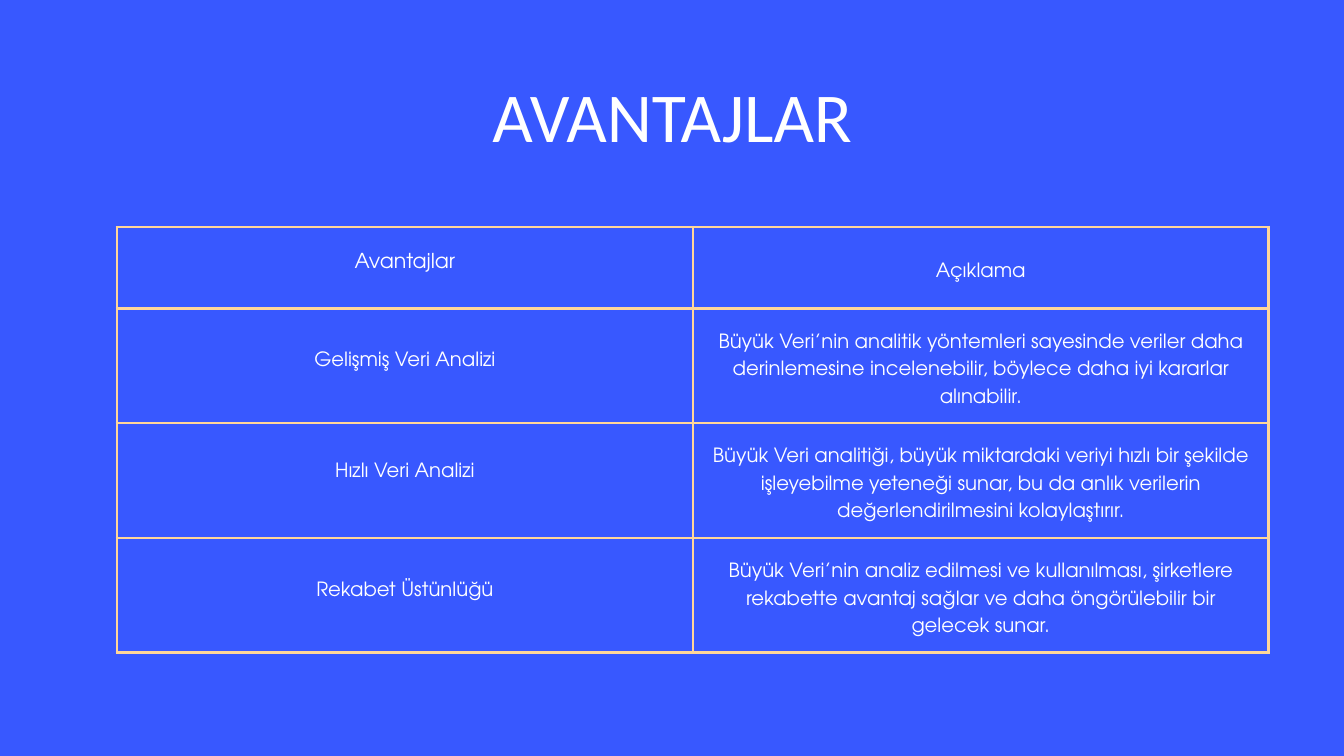
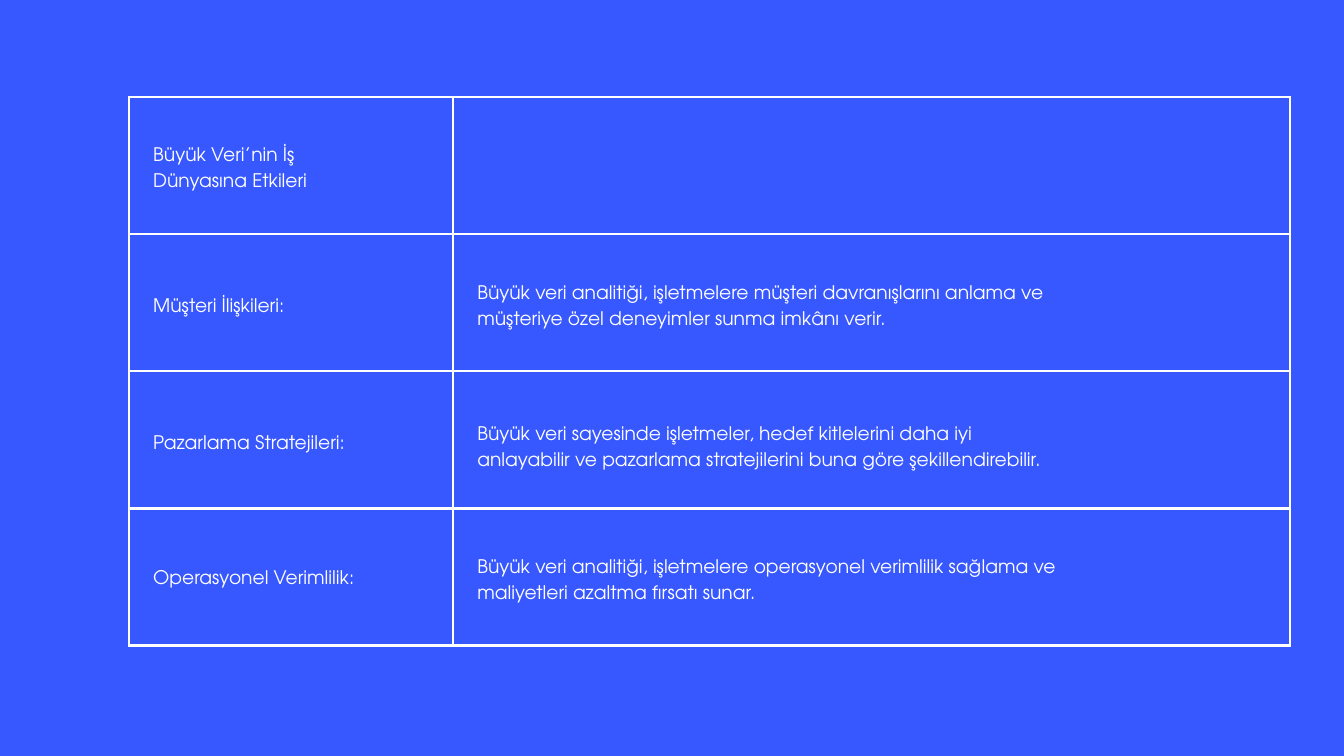
from lxml.etree import SubElement as Sub
from pptx import Presentation
from pptx.dml.color import RGBColor
from pptx.enum.text import MSO_ANCHOR as Anchor, MSO_AUTO_SIZE as Fit, PP_ALIGN as Align
from pptx.oxml.ns import qn
from pptx.util import Inches, Pt

WIDE, HIGH = 20, 11.25
BLUE, WHITE, GOLD = "3858FF", "FFFFFF", "FFD699"
HEAD, BODY = "Calibri", "TeX Gyre Adventor"
PAD = 0.21

PROS = [
    ("Avantajlar", "Açıklama"),
    ("Gelişmiş Veri Analizi",
     "Büyük Veri’nin analitik yöntemleri sayesinde veriler daha derinlemesine "
     "incelenebilir, böylece daha iyi kararlar alınabilir."),
    ("Hızlı Veri Analizi",
     "Büyük Veri analitiği, büyük miktardaki veriyi hızlı bir şekilde işleyebilme "
     "yeteneği sunar, bu da anlık verilerin değerlendirilmesini kolaylaştırır."),
    ("Rekabet Üstünlüğü",
     "Büyük Veri’nin analiz edilmesi ve kullanılması, şirketlere rekabette avantaj "
     "sağlar ve daha öngörülebilir bir gelecek sunar."),
]
LIFTS = (0.3, 0.27, 0.39, 0.27)

EFFECTS = [
    ("Büyük Veri’nin İş\nDünyasına Etkileri", ""),
    ("Müşteri İlişkileri:",
     "Büyük veri analitiği, işletmelere müşteri davranışlarını anlama ve\n"
     "müşteriye özel deneyimler sunma imkânı verir."),
    ("Pazarlama Stratejileri:",
     "Büyük veri sayesinde işletmeler, hedef kitlelerini daha iyi\n"
     "anlayabilir ve pazarlama stratejilerini buna göre şekillendirebilir."),
    ("Operasyonel Verimlilik:",
     "Büyük veri analitiği, işletmelere operasyonel verimlilik sağlama ve\n"
     "maliyetleri azaltma fırsatı sunar."),
]


def color(code):
    return RGBColor.from_string(code)


def place(left, top, width, height):
    return [Inches(share * size / 100) for share, size in
            zip((left, top, width, height), (WIDE, HIGH, WIDE, HIGH))]


def write(frame, text, size=20, font=BODY, lead=1.4, align=Align.LEFT):
    frame.text = text
    for para in frame.paragraphs:
        para.alignment = align
        para.line_spacing = Pt(size * lead)
        para.font.size = Pt(size)
        para.font.name = font
        para.font.color.rgb = color(WHITE)


def pad(cell, left=PAD, top=PAD, right=PAD, bottom=PAD):
    cell.margin_left, cell.margin_top = Inches(left), Inches(top)
    cell.margin_right, cell.margin_bottom = Inches(right), Inches(bottom)


def edge(cell, code):
    props = cell._tc.get_or_add_tcPr()
    for spot, side in enumerate(("lnL", "lnR", "lnT", "lnB")):
        line = Sub(props, qn(f"a:{side}"), w=str(Pt(3)))
        fill = Sub(line, qn("a:solidFill"))
        Sub(fill, qn("a:srgbClr"), val=code)
        props.insert(spot, line)


def grid(slide, box, data, cols, rows, code, **form):
    area = place(*box)
    table = slide.shapes.add_table(len(rows), len(cols), *area).table
    table.first_row = table.horz_banding = False
    for col, part in zip(table.columns, cols):
        col.width = int(area[2] * part / sum(cols))
    for row, part in zip(table.rows, rows):
        row.height = int(area[3] * part / sum(rows))
    for row, texts in zip(table.rows, data):
        for cell, text in zip(row.cells, texts):
            cell.fill.background()
            cell.vertical_anchor = Anchor.MIDDLE
            pad(cell)
            edge(cell, code)
            write(cell.text_frame, text, **form)
    return table


def head(slide, box, text):
    title = slide.shapes.title
    title.left, title.top, title.width, title.height = place(*box)
    frame = title.text_frame
    frame.margin_left = frame.margin_top = frame.margin_right = frame.margin_bottom = 0
    frame.vertical_anchor = Anchor.TOP
    frame.word_wrap = True
    frame.auto_size = Fit.NONE
    write(frame, text, size=75, font=HEAD, lead=1.3, align=Align.CENTER)


def pros(deck):
    slide = deck.slides.add_slide(deck.slide_layouts[5])
    table = grid(slide, (8.7, 30.04, 85.7, 56.3), PROS, (1, 1),
                 (1.21, 1.71, 1.71, 1.71), GOLD, size=21, align=Align.CENTER)
    write(table.cell(0, 0).text_frame, PROS[0][0], size=22, align=Align.CENTER)
    for row, lift in enumerate(LIFTS):
        pad(table.cell(row, 0), bottom=PAD + lift)
    head(slide, (26.45, 8.7, 47.15, 11.75), "AVANTAJLAR")


def effects(deck):
    slide = deck.slides.add_slide(deck.slide_layouts[6])
    table = grid(slide, (9.6, 12.8, 86.4, 72.6), EFFECTS, (4.82, 12.45),
                 (1,) * len(EFFECTS), WHITE)
    for cell in table.iter_cells():
        pad(cell, left=0.36)
    pad(table.cell(2, 1), left=0.36, top=PAD + 0.12)
    pad(table.cell(3, 0), left=0.36, bottom=PAD + 0.05)


def main():
    deck = Presentation()
    deck.slide_width, deck.slide_height = Inches(WIDE), Inches(HIGH)
    back = deck.slide_master.background.fill
    back.solid()
    back.fore_color.rgb = color(BLUE)
    pros(deck)
    effects(deck)
    deck.save("out.pptx")


if __name__ == "__main__":
    main()
